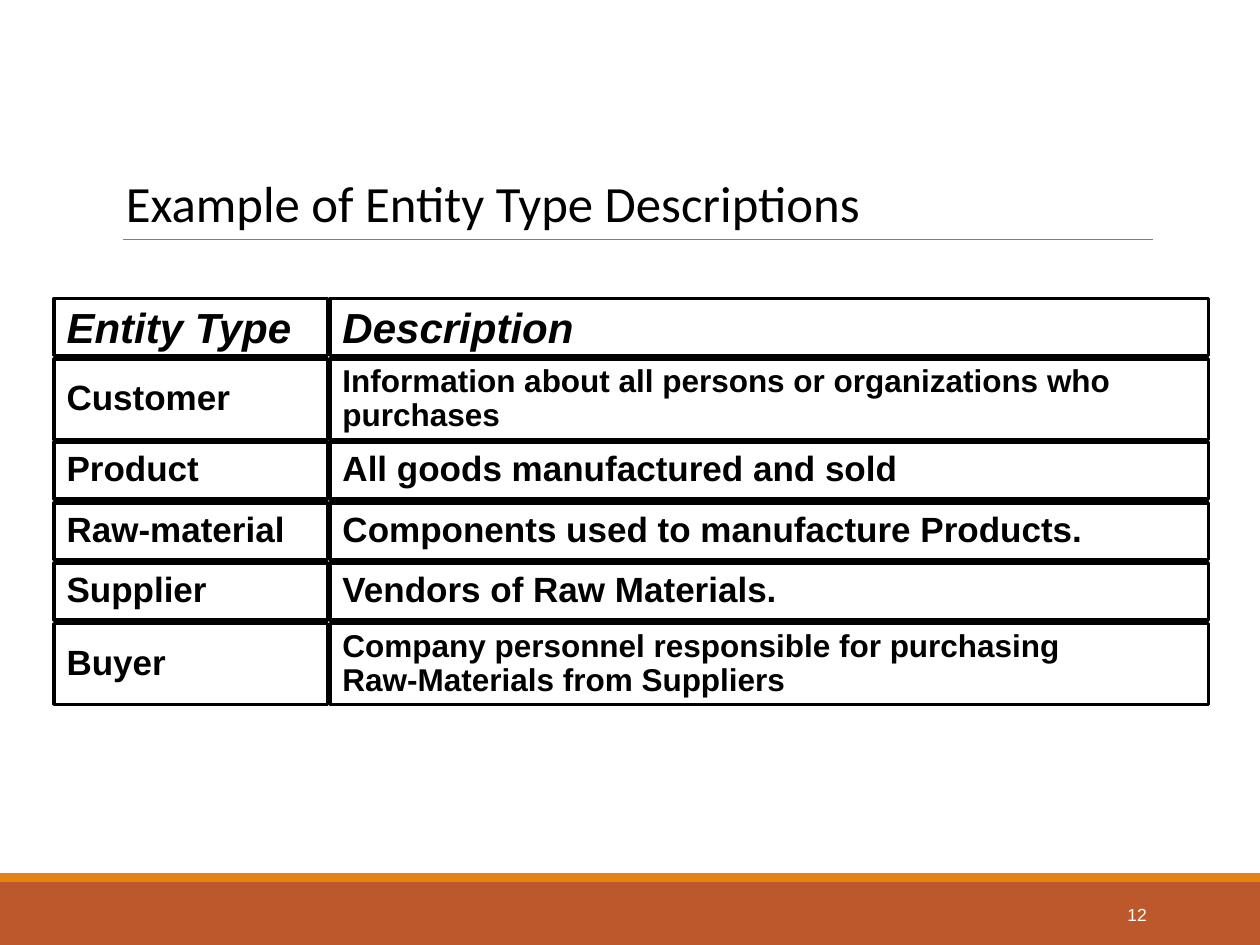
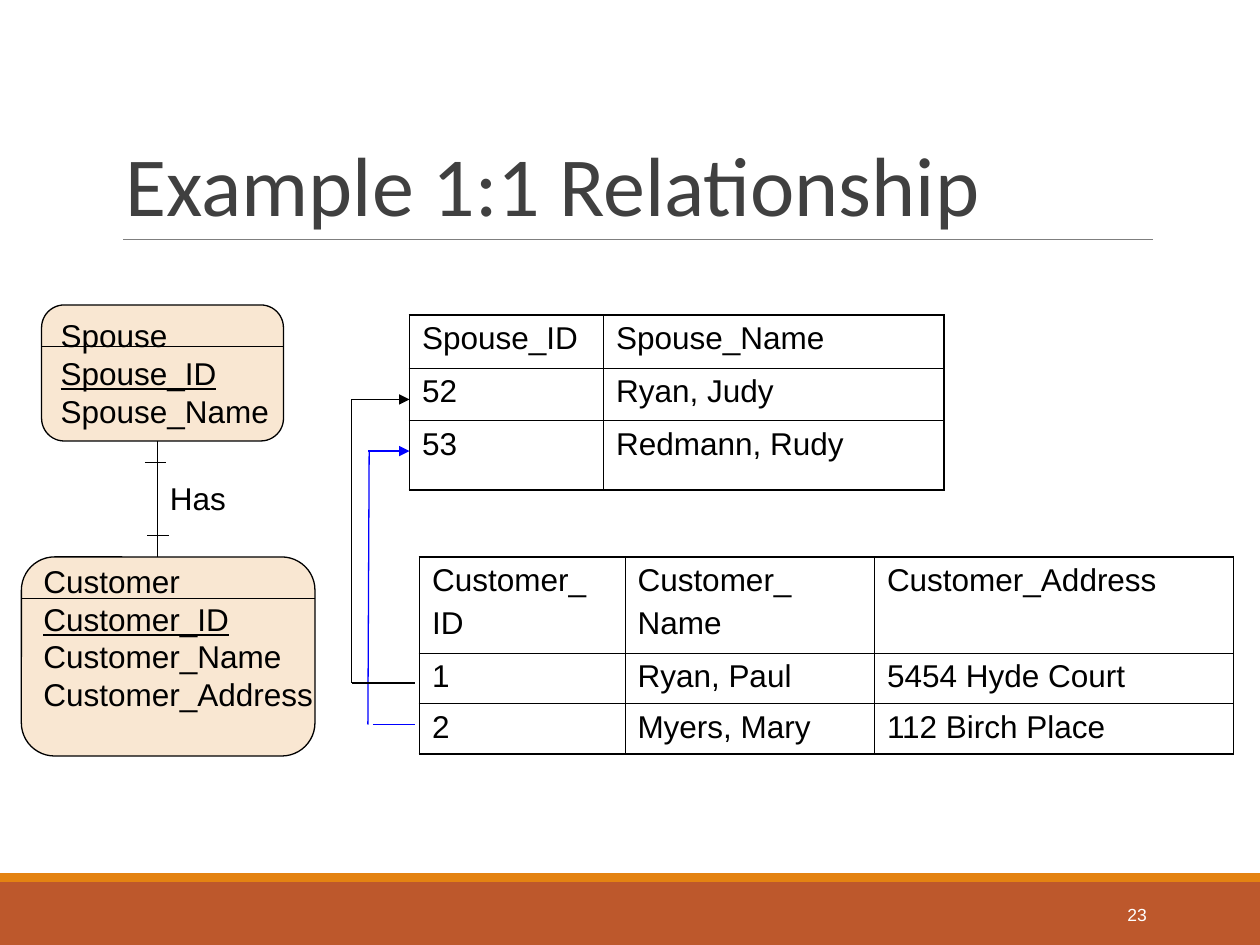
from lxml import etree
from pptx import Presentation
from pptx import util as u
from pptx.dml.color import RGBColor
from pptx.enum import shapes, text
from pptx.oxml import ns

BLACK = RGBColor(0, 0, 0)
WHITE = RGBColor(255, 255, 255)
GREY = RGBColor(0x40, 0x40, 0x40)
RULE = RGBColor(0x7F, 0x7F, 0x7F)
RUST = RGBColor(0xBD, 0x58, 0x2C)
AMBER = RGBColor(0xE4, 0x83, 0x12)
BLUE = RGBColor(0, 0, 255)
MID = text.MSO_ANCHOR.MIDDLE
LEFT = text.PP_ALIGN.LEFT


def put(frame, words, size=18, face="Arial", color=BLACK, bold=False,
        slant=False, align=LEFT, lead=None, gap=0, under=None):
    for i, word in enumerate(words.split("\n")):
        para = frame.paragraphs[0] if i == 0 else frame.add_paragraph()
        para.alignment = align
        if lead:
            para.line_spacing = lead
        if gap and i:
            para.space_before = u.Pt(gap)
        run = para.add_run()
        run.text = word
        font = run.font
        font.size, font.name, font.bold, font.italic = u.Pt(size), face, bold, slant
        font.underline = i == under
        font.color.rgb = color


def draw(slide, x1, y1, x2, y2, color=BLACK, width=0.75, head=False):
    line = slide.shapes.add_connector(
        shapes.MSO_CONNECTOR.STRAIGHT, *[u.Inches(v) for v in (x1, y1, x2, y2)])
    line.line.color.rgb = color
    line.line.width = u.Pt(width)
    if head:
        etree.SubElement(line.line._get_or_add_ln(), ns.qn("a:headEnd"), type="triangle")
    etree.SubElement(line._element.spPr, ns.qn("a:effectLst"))


deck = Presentation()
deck.slide_width, deck.slide_height = u.Inches(10), u.Inches(7.5)

pages = []
for title, size, color, number in [
        ("Example of Entity Type Descriptions", 29, BLACK, "12"),
        ("Example 1:1 Relationship", 48, GREY, "23")]:
    slide = deck.slides.add_slide(deck.slide_layouts[6])
    pages.append(slide)
    for top, high, fill in [(7, 0.5, RUST), (6.93, 0.07, AMBER)]:
        band = slide.shapes.add_shape(
            shapes.MSO_SHAPE.RECTANGLE, 0, u.Inches(top), u.Inches(10), u.Inches(high))
        band.shadow.inherit = False
        band.fill.solid()
        band.fill.fore_color.rgb = fill
        band.line.fill.background()
    draw(slide, 0.98, 1.9, 9.15, 1.9, RULE, 0.5)
    head = slide.shapes.add_textbox(
        u.Inches(0.9), u.Inches(0.31), u.Inches(8.25), u.Inches(1.59)).text_frame
    head.word_wrap = True
    head.vertical_anchor = text.MSO_ANCHOR.BOTTOM
    put(head, title, size=size, face="Calibri", color=color, lead=0.85)
    foot = slide.shapes.add_textbox(
        u.Inches(8.12), u.Inches(7.06), u.Inches(1.08), u.Inches(0.4)).text_frame
    foot.word_wrap = True
    foot.vertical_anchor = MID
    put(foot, number, size=10, color=WHITE, align=text.PP_ALIGN.RIGHT)

first, second = pages

types = [
    (2.37, 0.45, "Entity Type", "Description"),
    (2.85, 0.64, "Customer", "Information about all persons or organizations who purchases"),
    (3.51, 0.45, "Product", "All goods manufactured and sold"),
    (3.99, 0.45, "Raw-material", "Components used to manufacture Products."),
    (4.47, 0.45, "Supplier", "Vendors of Raw Materials."),
    (4.95, 0.64, "Buyer",
     "Company personnel responsible for purchasing Raw-Materials from Suppliers"),
]
for r, (top, high, *words) in enumerate(types):
    for word, left, wide in zip(words, (0.43, 2.62), (2.17, 6.97)):
        tile = first.shapes.add_shape(
            shapes.MSO_SHAPE.RECTANGLE, *[u.Inches(v) for v in (left, top, wide, high)])
        tile.shadow.inherit = False
        tile.fill.background()
        tile.line.color.rgb = BLACK
        tile.line.width = u.Pt(2)
        frame = tile.text_frame
        frame.vertical_anchor = MID
        frame.word_wrap = long = len(word) > 50
        if long:
            frame.margin_right = u.Inches(0.6)
        put(frame, word, size=24 if r == 0 else 18 if long else 20, bold=True,
            slant=r == 0, lead=0.9 if r else None)

spouses = [("Spouse_ID", "Spouse_Name"), ("52", "Ryan, Judy"), ("53", "Redmann, Rudy")]
buyers = [
    ("Customer_\nID", "Customer_\nName", "Customer_Address"),
    ("1", "Ryan, Paul", "5454 Hyde Court"),
    ("2", "Myers, Mary", "112 Birch Place"),
]

draw(second, 1.25, 3.5, 1.25, 4.42)

for data, left, top, wides, highs in [
        (spouses, 3.25, 2.5, [1.54, 2.7], [0.42, 0.42, 0.55]),
        (buyers, 3.33, 4.42, [1.63, 1.98, 2.85], [0.76, 0.4, 0.4])]:
    grid = second.shapes.add_table(
        len(highs), len(wides), u.Inches(left), u.Inches(top),
        u.Inches(sum(wides)), u.Inches(sum(highs))).table
    grid.first_row = grid.horz_banding = False
    for col, wide in zip(grid.columns, wides):
        col.width = u.Inches(wide)
    for r, row in enumerate(data):
        grid.rows[r].height = u.Inches(highs[r])
        for c, word in enumerate(row):
            cell = grid.cell(r, c)
            cell.fill.background()
            put(cell.text_frame, word, gap=4.5)
            edges = [("L", c == 0), ("R", c == len(wides) - 1),
                     ("T", r == 0), ("B", r == len(highs) - 1)]
            for i, (side, rim) in enumerate(edges):
                edge = etree.Element(
                    ns.qn("a:ln" + side), w=str(u.Pt(1.08 if rim else 0.45)))
                fill = etree.SubElement(edge, ns.qn("a:solidFill"))
                etree.SubElement(fill, ns.qn("a:srgbClr"), val=str(BLACK))
                cell._tc.get_or_add_tcPr().insert(i, edge)

for color, x, tip, base, bend, start in [(BLUE, 2.92, 3.58, 5.75, 2.93, 2.96),
                                         (BLACK, 2.79, 3.17, 5.42, 2.79, 2.79)]:
    draw(second, 3.25, tip, x, tip, color, head=True)
    draw(second, bend, tip, x, base, color)
    draw(second, start, base, 3.29, base, color)

for words, left, top, wide, high, split, pad in [
        ("Customer\nCustomer_ID\nCustomer_Name\nCustomer_Address",
         0.17, 4.42, 2.33, 1.58, 4.75, 0.35),
        ("Spouse\nSpouse_ID\nSpouse_Name", 0.33, 2.42, 1.92, 1.08, 2.75, 0.05)]:
    box = second.shapes.add_shape(
        shapes.MSO_SHAPE.ROUNDED_RECTANGLE,
        *[u.Inches(v) for v in (left, top, wide, high)])
    box.shadow.inherit = False
    box.fill.solid()
    box.fill.fore_color.rgb = AMBER
    tint = box._element.spPr.find(ns.qn("a:solidFill"))[0]
    etree.SubElement(tint, ns.qn("a:alpha"), val="19000")
    box.line.color.rgb = BLACK
    box.line.width = u.Pt(0.75)
    frame = box.text_frame
    frame.word_wrap = False
    frame.vertical_anchor = MID
    frame.margin_bottom = u.Inches(pad)
    put(frame, words, under=1)
    draw(second, left, split, left + wide, split)

label = second.shapes.add_textbox(
    u.Inches(1.25), u.Inches(3.75), u.Inches(0.68), u.Inches(0.4)).text_frame
label.word_wrap = False
label.auto_size = text.MSO_AUTO_SIZE.SHAPE_TO_FIT_TEXT
put(label, "Has")
for x, y in [(1.15, 3.67), (1.17, 4.25)]:
    draw(second, x, y, x + 0.17, y)

deck.save("out.pptx")
